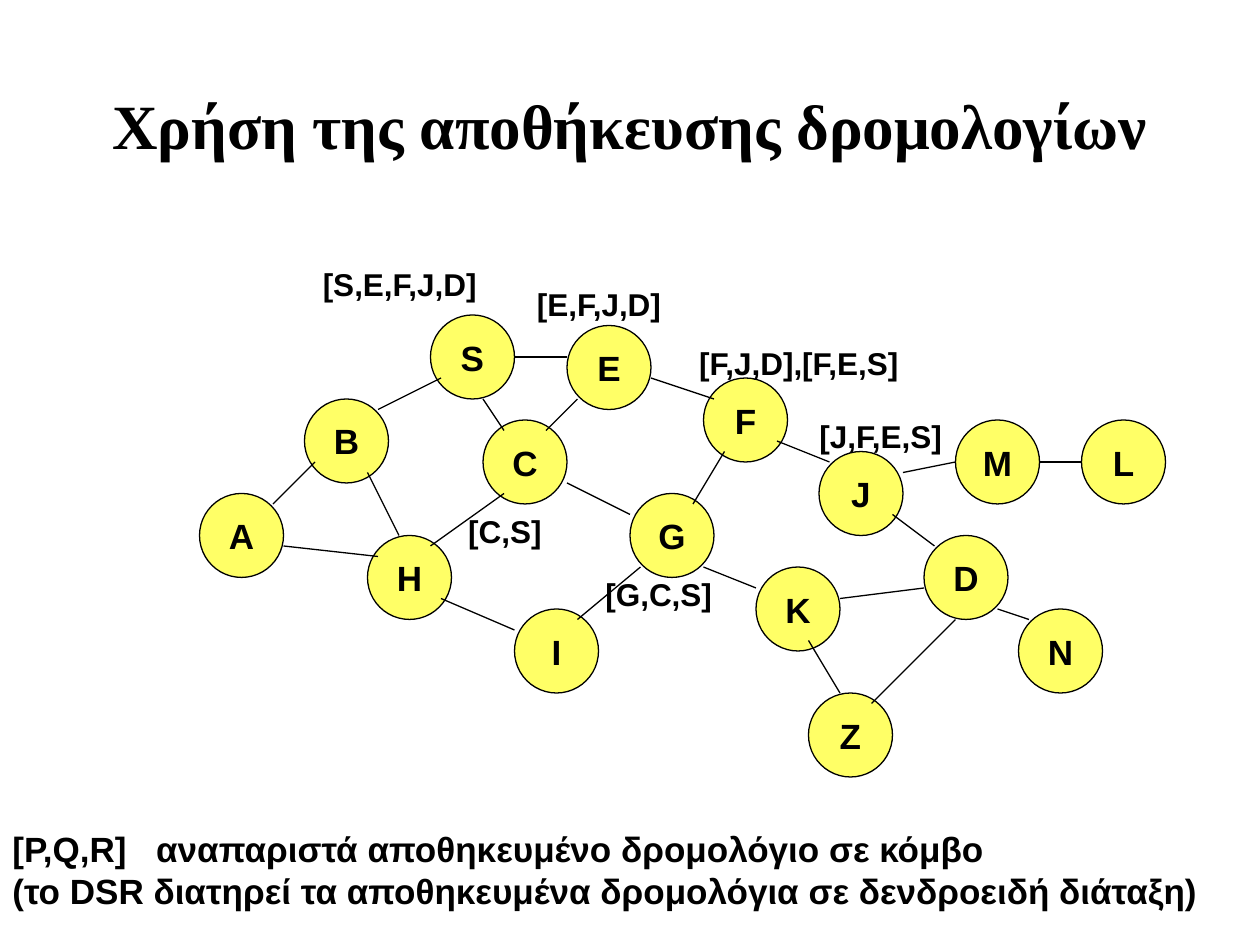
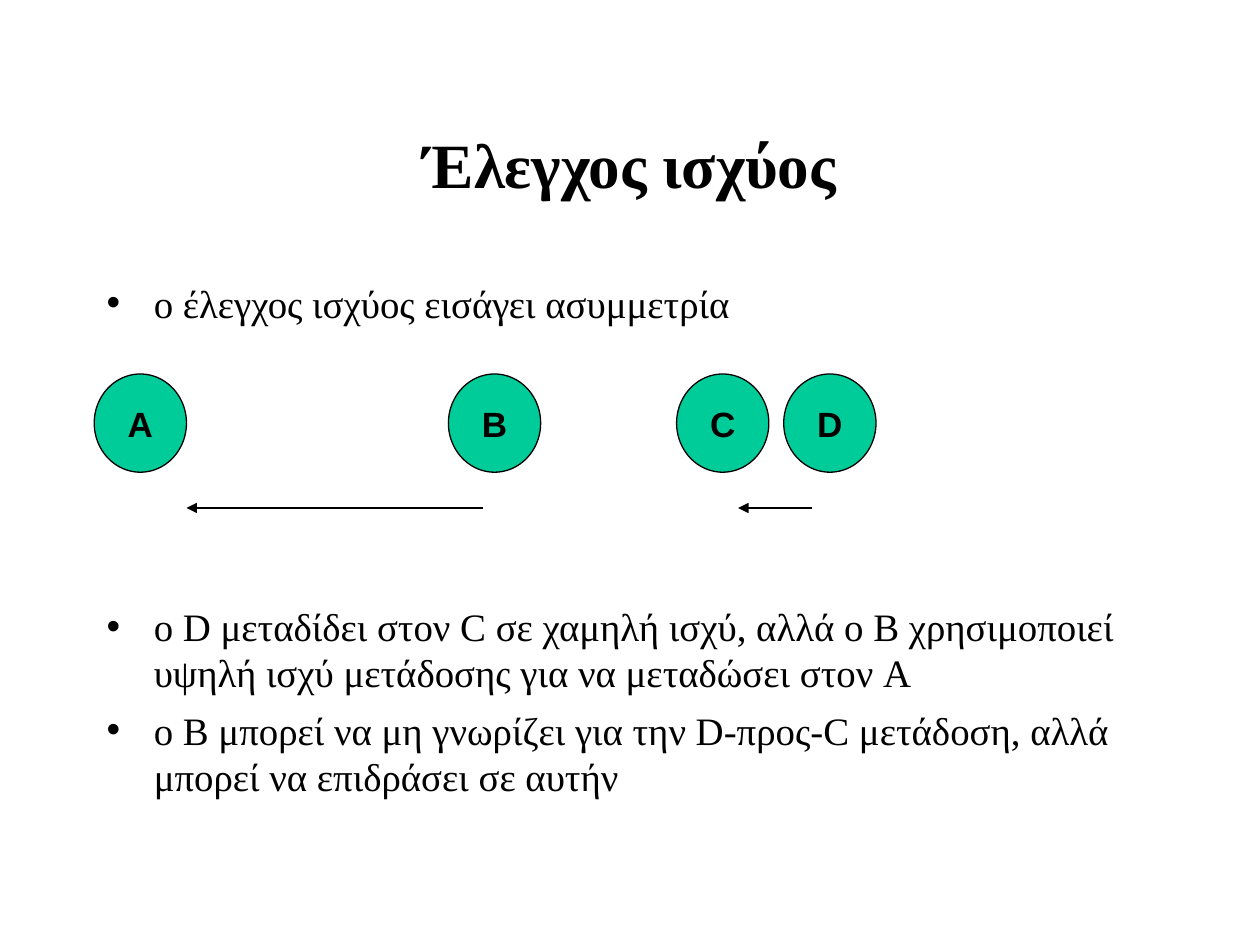
from pptx import Presentation
from pptx.dml.color import RGBColor
from pptx.enum.shapes import MSO_CONNECTOR, MSO_SHAPE
from pptx.enum.text import MSO_ANCHOR, MSO_AUTO_SIZE, PP_ALIGN
from pptx.oxml.ns import qn
from pptx.util import Cm, Pt
from lxml import etree

OVAL, STRAIGHT = MSO_SHAPE.OVAL, MSO_CONNECTOR.STRAIGHT
LEFT, CENTER = PP_ALIGN.LEFT, PP_ALIGN.CENTER
TOP, MIDDLE = MSO_ANCHOR.TOP, MSO_ANCHOR.MIDDLE
NO_FIT = MSO_AUTO_SIZE.NONE

BLACK = RGBColor(0, 0, 0)
THEME = {
    "ink": BLACK,
    "line": Pt(0.75),
    "route_fill": RGBColor(0xFF, 0xFF, 0x66),
    "power_fill": RGBColor(0x00, 0xCC, 0x99),
    "title": {"name": "Times New Roman", "size": Pt(36), "bold": True},
    "body": {"name": "Times New Roman", "size": Pt(22.2), "bold": False},
    "node": {"name": "Arial", "size": Pt(20), "bold": True},
    "label": {"name": "Arial", "size": Pt(18), "bold": True},
}
GRID = 2.54 / 12


def write(tf, lines, style, align=CENTER, anchor=MIDDLE, wrap=False):
    frame = {"word_wrap": wrap, "auto_size": NO_FIT, "vertical_anchor": anchor,
             "margin_left": Cm(0.25), "margin_right": Cm(0.25),
             "margin_top": Cm(0.13), "margin_bottom": Cm(0.13)}
    for name, value in frame.items():
        setattr(tf, name, value)
    for i, line in enumerate(lines):
        p = tf.paragraphs[0] if i == 0 else tf.add_paragraph()
        p.alignment = align
        r = p.add_run()
        r.text = line
        for name, value in THEME[style].items():
            setattr(r.font, name, value)
        r.font.color.rgb = THEME["ink"]


def draw_line(s, x1, y1, x2, y2, arrow=False):
    c = s.shapes.add_connector(STRAIGHT, Cm(x1), Cm(y1), Cm(x2), Cm(y2))
    c.line.color.rgb = THEME["ink"]
    c.line.width = THEME["line"]
    if arrow:
        etree.SubElement(c.line._get_or_add_ln(), qn("a:tailEnd"), type="triangle")
    etree.SubElement(c._element.spPr, qn("a:effectLst"))


prs = Presentation()
prs.slide_width, prs.slide_height = Cm(25.4), Cm(19.05)
routes = prs.slides.add_slide(prs.slide_layouts[5])
power = prs.slides.add_slide(prs.slide_layouts[1])

titles = [
    (routes, "Χρήση της αποθήκευσης δρομολογίων", 0.91),
    (power, "Έλεγχος ισχύος", 1.7),
]
for s, text, top in titles:
    sp = s.shapes.title
    sp.left, sp.top, sp.width, sp.height = Cm(1.9), Cm(top), Cm(21.6), Cm(3.18)
    write(sp.text_frame, [text], "title", wrap=True)

route_nodes = {
    "B": (29, 38), "A": (19, 47), "S": (41, 30), "E": (54, 31),
    "F": (67, 36), "H": (35, 51), "J": (78, 43), "D": (88, 51),
    "C": (46, 40), "G": (60, 47), "I": (49, 58), "K": (72, 54),
    "M": (91, 40), "N": (97, 58), "L": (103, 40), "Z": (77, 66),
}
route_nodes = {n: (x * GRID, y * GRID) for n, (x, y) in route_nodes.items()}
power_nodes = {n: (x, 7.54) for n, x in zip("ABCD", (1.9, 9.04, 13.64, 15.8))}
groups = [
    (routes, route_nodes, 8 * GRID, 8 * GRID, "route_fill"),
    (power, power_nodes, 1.86, 1.98, "power_fill"),
]
for s, nodes, width, height, fill in groups:
    for name, (x, y) in nodes.items():
        sp = s.shapes.add_shape(OVAL, Cm(x), Cm(y), Cm(width), Cm(height))
        sp.shadow.inherit = False
        sp.fill.solid()
        sp.fill.fore_color.rgb = THEME[fill]
        sp.line.color.rgb = THEME["ink"]
        sp.line.width = THEME["line"]
        write(sp.text_frame, [name], "node")

edges = [
    (26, 48, 30, 44), (36, 39, 42, 36), (27, 52, 36, 53), (35, 45, 38, 51),
    (48, 47, 41, 52), (55, 38, 52, 41), (62, 36, 68, 38), (69, 43, 66, 48),
    (61, 54, 55, 59), (54, 46, 60, 49), (42, 57, 49, 60), (74, 42, 79, 44),
    (67, 54, 72, 56), (85, 49, 89, 52), (88, 56, 80, 57), (54, 34, 49, 34),
    (46, 38, 48, 41), (86, 45, 91, 44), (95, 58, 98, 59), (99, 44, 103, 44),
    (77, 61, 80, 66), (91, 59, 83, 67),
]
for edge in edges:
    draw_line(routes, *(v * GRID for v in edge))

labels = [
    ("[S,E,F,J,D]", 6.22, 5.21, 3.68),
    ("[E,F,J,D]", 10.54, 5.61, 3.07),
    ("[C,S]", 9.19, 10.19, 1.98),
    ("[G,C,S]", 11.96, 11.46, 2.64),
    ("[F,J,D],[F,E,S]", 13.77, 6.81, 4.67),
    ("[J,F,E,S]", 16.23, 8.28, 3.05),
]
for text, x, y, width in labels:
    sp = routes.shapes.add_textbox(Cm(x), Cm(y), Cm(width), Cm(1.02))
    write(sp.text_frame, [text], "label")

legend = [
    "[P,Q,R]\tαναπαριστά αποθηκευμένο δρομολόγιο σε κόμβο",
    "(το DSR διατηρεί τα αποθηκευμένα δρομολόγια σε δενδροειδή διάταξη)",
]
sp = routes.shapes.add_textbox(Cm(0), Cm(16.54), Cm(24.5), Cm(1.96))
tf = sp.text_frame
pPr = tf.paragraphs[0]._p.get_or_add_pPr()
tabs = etree.SubElement(pPr, qn("a:tabLst"))
etree.SubElement(tabs, qn("a:tab"), pos=str(Cm(2.9)), algn="l")
write(tf, legend, "node", LEFT)

bullets = [
    "ο έλεγχος ισχύος εισάγει ασυμμετρία",
    "ο D μεταδίδει στον C σε χαμηλή ισχύ, αλλά ο B χρησιμοποιεί υψηλή ισχύ "
    "μετάδοσης για να μεταδώσει στον A",
    "ο B μπορεί να μη γνωρίζει για την D-προς-C μετάδοση, αλλά μπορεί να "
    "επιδράσει σε αυτήν",
]
sp = power.placeholders[1]
sp.left, sp.top, sp.width, sp.height = Cm(1.9), Cm(5.5), Cm(21.6), Cm(11.43)
tf = sp.text_frame
write(tf, bullets, "body", LEFT, TOP, True)
for p, gap in zip(tf.paragraphs, (0, 158, 6)):
    p.space_before = Pt(gap)
    pPr = p._p.get_or_add_pPr()
    pPr.set("marL", str(Cm(0.95)))
    pPr.set("indent", str(-Cm(0.95)))
    etree.SubElement(pPr, qn("a:buChar"), char="•")

for x1, x2 in [(16.36, 14.88), (9.73, 3.76)]:
    draw_line(power, x1, 10.24, x2, 10.24, arrow=True)

prs.save("out.pptx")
